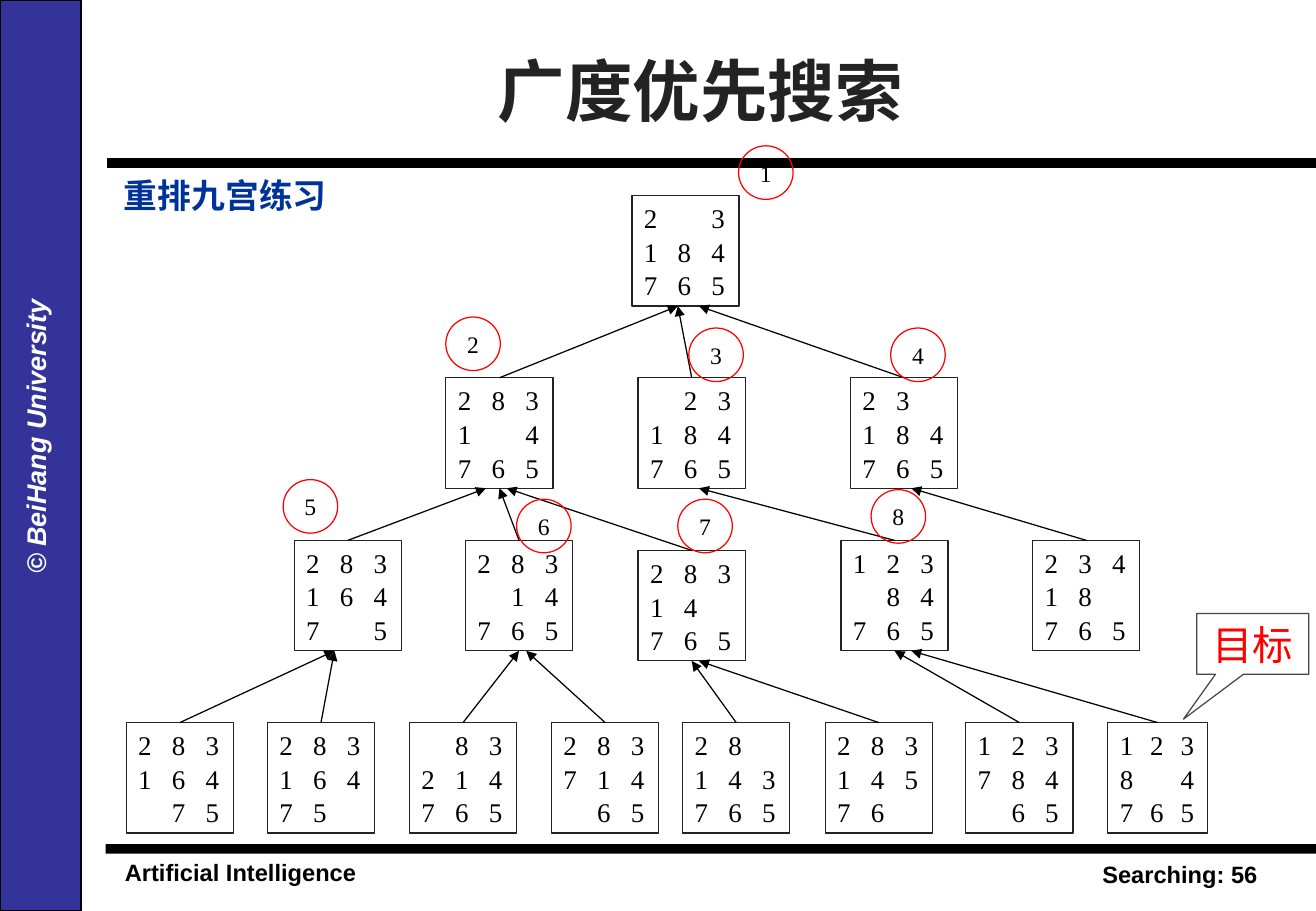
from lxml.etree import SubElement
from pptx import Presentation
from pptx.dml.color import RGBColor
from pptx.enum.shapes import MSO_CONNECTOR as Connector, MSO_SHAPE as Shape
from pptx.enum.text import MSO_ANCHOR as Anchor, PP_ALIGN as Align
from pptx.oxml.ns import qn
from pptx.util import Cm, Pt

COLORS = {
    "black": "000000", "white": "FFFFFF", "dark": "232323", "grey": "474747",
    "band": "333399", "heading": "003399", "red": "FF0000",
}
SERIF, SANS, CHINESE = "Times New Roman", "Arial", "Noto Sans CJK SC"
BOARD_WIDTH, BOARD_HEIGHT = 2.24, 2.31
CIRCLE_WIDTH, CIRCLE_HEIGHT = 1.14, 1.12

# name: left, top, tiles, parent, arrow end (None is the middle)
BOARDS = {
    "root": (13.21, 4.09, "2 3184765", None, None),
    "a": (9.32, 7.9, "2831 4765", "root", 14.17),
    "b": (13.34, 7.9, " 23184765", "root", 14.17),
    "c": (17.78, 7.9, "23 184765", "root", 14.61),
    "aa": (6.15, 11.3, "2831647 5", "a", 10.16),
    "ab": (9.73, 11.3, "283 14765", "a", None),
    "ac": (13.34, 11.51, "28314 765", "a", 10.59),
    "ba": (17.58, 11.3, "123 84765", "b", 14.61),
    "ca": (21.59, 11.3, "23418 765", "c", 19.05),
    "aaa": (2.64, 15.11, "283164 75", "aa", 6.99),
    "aab": (5.59, 15.11, "28316475 ", "aa", 6.99),
    "aba": (8.56, 15.11, " 83214765", "ab", None),
    "abb": (11.53, 15.11, "283714 65", "ab", 11),
    "aca": (14.27, 15.11, "28 143765", "ac", None),
    "acb": (17.25, 15.11, "28314576 ", "ac", 14.61),
    "baa": (20.19, 15.11, "123784 65", "ba", None),
    "goal": (23.16, 15.11, "1238 4765", "ba", 19.05),
}
GOAL_WIDTH = 2.08
VISIT_ORDER = [
    (15.44, 3.05), (9.32, 6.63), (14.4, 6.86), (18.62, 6.86),
    (5.92, 10.03), (10.8, 10.44), (14.17, 10.44), (18.21, 10.24),
]

presentation = Presentation()
presentation.slide_width, presentation.slide_height = Cm(27.51), Cm(19.05)
slide = presentation.slides.add_slide(presentation.slide_layouts[6])


def color(name):
    return RGBColor.from_string(COLORS[name])


def add_run(paragraph, text, size, face, ink, bold=False, italic=False):
    run = paragraph.add_run()
    run.text = text
    font = run.font
    font.size, font.name, font.bold, font.italic = Pt(size), face, bold, italic
    font.color.rgb = color(ink)
    SubElement(font._element, qn("a:ea")).set("typeface", CHINESE)


def set_margins(frame, left, top, right, bottom):
    frame.margin_left, frame.margin_top = Cm(left), Cm(top)
    frame.margin_right, frame.margin_bottom = Cm(right), Cm(bottom)


def add_label(box, text, size, face, ink, align=Align.LEFT, anchor=Anchor.TOP,
              bold=True, italic=False, top_margin=0.13):
    shape = slide.shapes.add_textbox(*map(Cm, box))
    frame = shape.text_frame
    frame.word_wrap, frame.vertical_anchor = True, anchor
    set_margins(frame, 0.25, top_margin, 0.25, 0.13)
    frame.paragraphs[0].alignment = align
    add_run(frame.paragraphs[0], text, size, face, ink, bold, italic)
    return shape


def add_figure(kind, box, fill=None, line=None, width=0.75):
    shape = slide.shapes.add_shape(kind, *map(Cm, box))
    shape.shadow.inherit = False
    if fill:
        shape.fill.solid()
        shape.fill.fore_color.rgb = color(fill)
    else:
        shape.fill.background()
    if line:
        shape.line.color.rgb = color(line)
        shape.line.width = Pt(width)
    else:
        shape.line.fill.background()
    shape.text_frame.vertical_anchor = Anchor.MIDDLE
    return shape


def add_line(start, end, width):
    line = slide.shapes.add_connector(Connector.STRAIGHT, *map(Cm, start + end))
    line.line.color.rgb = color("black")
    line.line.width = Pt(width)
    SubElement(line._element.spPr, qn("a:effectLst"))
    return line


def add_board(left, top, tiles, width, pitch):
    shape = add_figure(Shape.RECTANGLE, (left, top, width, BOARD_HEIGHT), line="dark")
    frame = shape.text_frame
    frame.word_wrap = True
    set_margins(frame, 0.25, 0.13, 0, 0.13)
    for row in range(3):
        paragraph = frame.paragraphs[0] if row == 0 else frame.add_paragraph()
        paragraph.alignment = Align.LEFT
        paragraph.line_spacing = 1.04
        tabs = SubElement(paragraph._p.get_or_add_pPr(), qn("a:tabLst"))
        for column in (1, 2):
            tab = SubElement(tabs, qn("a:tab"))
            tab.set("pos", str(Pt(column * pitch)))
            tab.set("algn", "l")
        cells = [tile.strip() for tile in tiles[row * 3:row * 3 + 3]]
        add_run(paragraph, "\t".join(cells).rstrip("\t"), 16, SERIF, "black")
    return shape


def add_arrow(child, parent, end_x):
    start = (child.left.cm + child.width.cm / 2, child.top.cm)
    middle = parent.left.cm + parent.width.cm / 2
    end = (end_x or middle, parent.top.cm + parent.height.cm)
    arrow = add_line(start, end, 0.75)
    arrow.begin_connect(child, 0)
    if end_x is None:
        arrow.end_connect(parent, 2)
    SubElement(arrow.line._get_or_add_ln(), qn("a:tailEnd")).set("type", "triangle")


add_label((2.36, 17.81, 8, 0.84), "Artificial Intelligence", 14, SANS, "black")
add_label((18.36, 17.86, 8.18, 0.84), "Searching: 56", 14, SANS, "black", Align.RIGHT)
add_figure(Shape.RECTANGLE, (2.21, 17.65, 25.3, 0.2), fill="black")
add_figure(Shape.RECTANGLE, (0, 0, 1.7, 19.05), fill="band", line="black", width=1)
add_line((2.24, 3.4), (27.51, 3.4), 6)
university = add_label((-8.38, 8.66, 18.24, 0.94), "© BeiHang University", 16, SANS,
                       "white", Align.CENTER, italic=True)
university.rotation = 270

boards = {}
for name, (left, top, tiles, parent, end_x) in BOARDS.items():
    is_goal = name == "goal"
    boards[name] = add_board(left, top, tiles, GOAL_WIDTH if is_goal else BOARD_WIDTH,
                             18 if is_goal else 20)
    if parent:
        add_arrow(boards[name], boards[parent], end_x)

for number, (left, top) in enumerate(VISIT_ORDER, 1):
    circle = add_figure(Shape.OVAL, (left, top, CIRCLE_WIDTH, CIRCLE_HEIGHT), line="red")
    set_margins(circle.text_frame, 0, 0, 0, 0)
    circle.text_frame.paragraphs[0].alignment = Align.CENTER
    add_run(circle.text_frame.paragraphs[0], str(number), 14, SERIF, "black")

callout = add_figure(Shape.RECTANGULAR_CALLOUT, (25.02, 12.83, 2.34, 1.27), line="grey")
callout.adjustments[0], callout.adjustments[1] = -0.62, 1.24
callout.text_frame.word_wrap = False
callout.text_frame.paragraphs[0].alignment = Align.CENTER
add_run(callout.text_frame.paragraphs[0], "目标", 24, SERIF, "red")

add_label((2.34, 3.66, 23.98, 0.97), "重排九宫练习", 20, "Lato", "heading", top_margin=0)
add_label((2.36, 0.56, 24.56, 2.62), "广度优先搜索", 40, CHINESE, "dark",
          Align.CENTER, Anchor.MIDDLE)

presentation.save("out.pptx")
